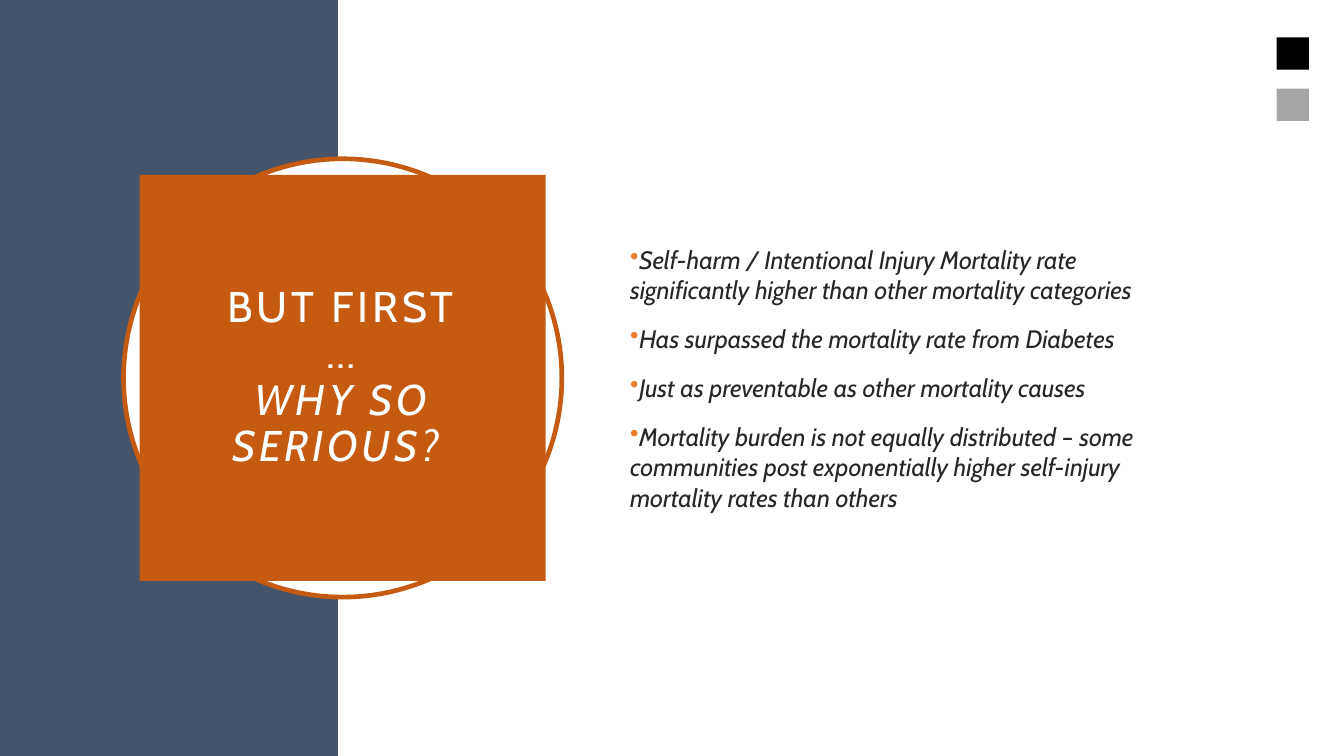
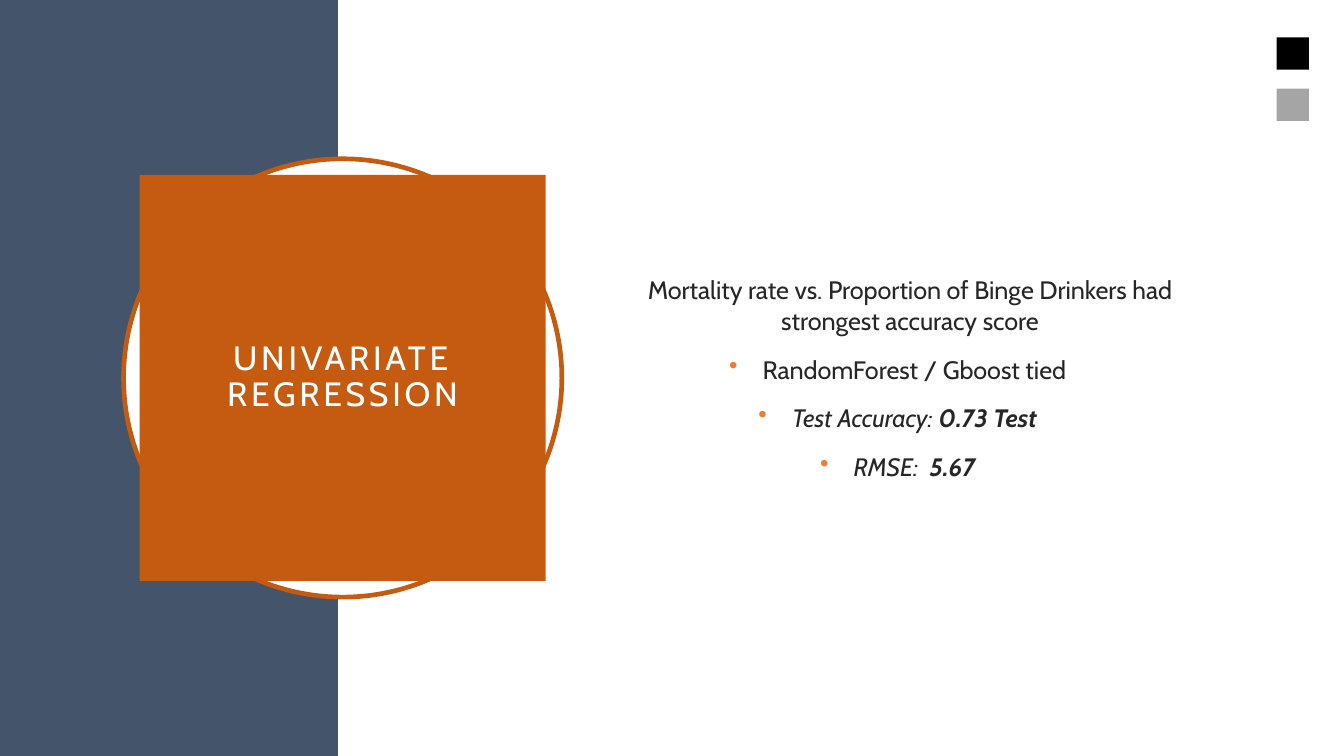
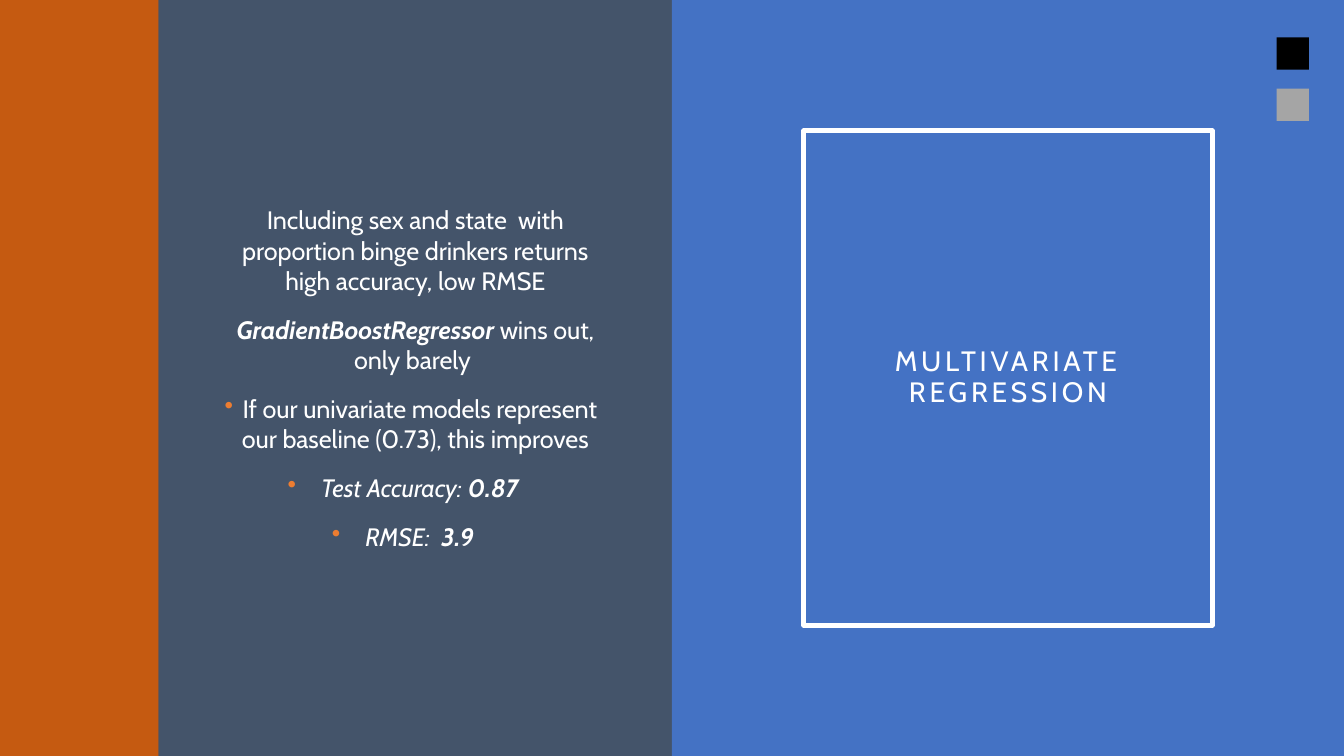
from collections import namedtuple
from dataclasses import dataclass

from lxml.etree import SubElement
from pptx import Presentation
from pptx.dml.color import RGBColor
from pptx.enum.shapes import MSO_SHAPE
from pptx.enum.text import MSO_ANCHOR, PP_ALIGN
from pptx.oxml.ns import qn
from pptx.util import Pt


@dataclass(frozen=True)
class Theme:
    font: str = "Cabin"
    white: str = "FFFFFF"
    black: str = "000000"
    gray: str = "A5A5A5"
    slate: str = "44546A"
    rust: str = "C55A11"
    blue: str = "4472C4"
    ink: str = "262626"
    dot: str = "ED7D31"
    large: float = 23
    medium: float = 18
    small: float = 15
    body: float = 13.5
    track: int = 200
    rule: float = 2.5


Box = namedtuple("Box", "left top width height")
Item = namedtuple("Item", "runs bullet", defaults=(True,))

theme = Theme()
page = Box(0, 0, 720, 405)
split = 181.2


def inset(box, dx, dy):
    return Box(box.left + dx, box.top + dy, box.width - 2 * dx, box.height - 2 * dy)


def color(code):
    return RGBColor.from_string(code)


def draw(slide, kind, box, fill=None, line=None):
    shape = slide.shapes.add_shape(kind, *map(Pt, box))
    shape.shadow.inherit = False
    if fill:
        shape.fill.solid()
        shape.fill.fore_color.rgb = color(fill)
    else:
        shape.fill.background()
    if line:
        shape.line.color.rgb = color(line)
        shape.line.width = Pt(theme.rule)
    else:
        shape.line.fill.background()
    return shape


def mark(font, style):
    font.bold = "b" in style
    font.italic = "i" in style


def write(para, runs, size, tint):
    font = para.font
    font.name = theme.font
    font.size = Pt(size)
    font.color.rgb = color(tint)
    same = len({style for _, style in runs}) == 1
    if same:
        mark(font, runs[0][1])
    for text, style in runs:
        lines = text.split("\n")
        for count, line in enumerate(lines):
            if count:
                para.add_line_break()
            if line:
                run = para.add_run()
                run.text = line
                if not same:
                    mark(run.font, style)


def add_dot(para):
    props = para._p.get_or_add_pPr()
    props.set("marL", "0")
    props.set("indent", str(-Pt(18)))
    tint = SubElement(props, qn("a:buClr"))
    SubElement(tint, qn("a:srgbClr")).set("val", theme.dot)
    SubElement(props, qn("a:buChar")).set("char", "•")


def add_title(shape, runs, size):
    frame = shape.text_frame
    frame.word_wrap = True
    frame.vertical_anchor = MSO_ANCHOR.MIDDLE
    frame.margin_left = frame.margin_right = Pt(14.4)
    frame.margin_top = frame.margin_bottom = Pt(14.4)
    para = frame.paragraphs[0]
    para.alignment = PP_ALIGN.CENTER
    para.line_spacing = 0.9
    write(para, runs, size, theme.white)
    para._p.pPr.find(qn("a:defRPr")).set("spc", str(theme.track))


def add_body(slide, box, items, tint, align):
    frame = slide.shapes.add_textbox(*map(Pt, box)).text_frame
    frame.word_wrap = True
    frame.vertical_anchor = MSO_ANCHOR.MIDDLE
    for count, item in enumerate(items):
        para = frame.add_paragraph() if count else frame.paragraphs[0]
        para.alignment = align
        para.space_before = Pt(10)
        if item.bullet:
            add_dot(para)
        write(para, item.runs, theme.body, tint)


def add_badge(slide, box, runs, size):
    draw(slide, MSO_SHAPE.OVAL, box, theme.white, theme.rust)
    card = draw(slide, MSO_SHAPE.RECTANGLE, inset(box, 8.6, 8.6), theme.rust)
    add_title(card, runs, size)


def add_chips(slide, box):
    for row, tint in enumerate((theme.black, theme.gray)):
        chip = Box(box.left, box.top + row * 27.4, box.width, box.width)
        draw(slide, MSO_SHAPE.RECTANGLE, chip, tint)


def add_page(deck, back):
    slide = deck.slides.add_slide(deck.slide_layouts[6])
    slide.background.fill.solid()
    slide.background.fill.fore_color.rgb = color(back)
    return slide


def badge_page(deck, title, size, items, align):
    slide = add_page(deck, theme.white)
    band = page._replace(width=split)
    panel = page._replace(left=split, width=page.width - split)
    draw(slide, MSO_SHAPE.RECTANGLE, band, theme.slate)
    draw(slide, MSO_SHAPE.RECTANGLE, panel, theme.white)
    side = 234.8
    ring = Box(split - 115, (page.height - side) / 2, side, side)
    add_badge(slide, ring, title, size)
    text = Box(panel.left + 149.3, 82.8, 314, 239.8)
    add_body(slide, text, items, theme.ink, align)
    add_chips(slide, Box(684, 20.1, 17.3, 44.7))


def panel_page(deck, title, size, items):
    slide = add_page(deck, theme.slate)
    half = page.width / 2
    band = page._replace(width=85)
    left = page._replace(left=band.width, width=half - band.width)
    right = page._replace(left=half, width=half)
    draw(slide, MSO_SHAPE.RECTANGLE, band, theme.rust)
    draw(slide, MSO_SHAPE.RECTANGLE, left, theme.slate)
    add_body(slide, inset(left, 28.3, 38.8), items, theme.white, PP_ALIGN.CENTER)
    draw(slide, MSO_SHAPE.RECTANGLE, right, theme.blue)
    frame = draw(slide, MSO_SHAPE.RECTANGLE, inset(right, 70.6, 70), line=theme.white)
    add_title(frame, title, size)
    add_chips(slide, Box(684, 20.1, 17.3, 44.7))


def score(name, value):
    return Item([(name, "i"), (value, "bi")])


def main():
    deck = Presentation()
    deck.slide_width, deck.slide_height = Pt(page.width), Pt(page.height)
    causes = (
        "Self-harm / Intentional Injury Mortality rate significantly higher than other mortality categories",
        "Has surpassed the mortality rate from Diabetes",
        "Just as preventable as other mortality causes",
        "Mortality burden is not equally distributed – some communities post exponentially higher self-injury mortality rates than others",
    )
    badge_page(
        deck,
        [("BUT FIRST\n…\n", ""), ("WHY SO SERIOUS? ", "i")],
        theme.large,
        [Item([(cause, "i")]) for cause in causes],
        PP_ALIGN.LEFT,
    )
    badge_page(
        deck,
        [("UNIVARIATE REGRESSION", "")],
        theme.medium,
        [
            Item([("Mortality rate vs. Proportion of Binge Drinkers had strongest accuracy score", "")], False),
            Item([("RandomForest / Gboost tied", "")]),
            score("Test Accuracy:", " 0.73 Test"),
            score("RMSE:  ", "5.67"),
        ],
        PP_ALIGN.CENTER,
    )
    panel_page(
        deck,
        [("MULTIVARIATE REGRESSION", "")],
        theme.small,
        [
            Item([("Including sex and state  with proportion binge drinkers returns high accuracy, low RMSE", "")], False),
            Item([("GradientBoostRegressor", "bi"), (" wins out, only barely ", "")], False),
            Item([("If our univariate models represent our baseline (0.73), this improves", "")]),
            score("Test Accuracy:", " 0.87"),
            score("RMSE:  ", "3.9"),
        ],
    )
    deck.save("out.pptx")


if __name__ == "__main__":
    main()
